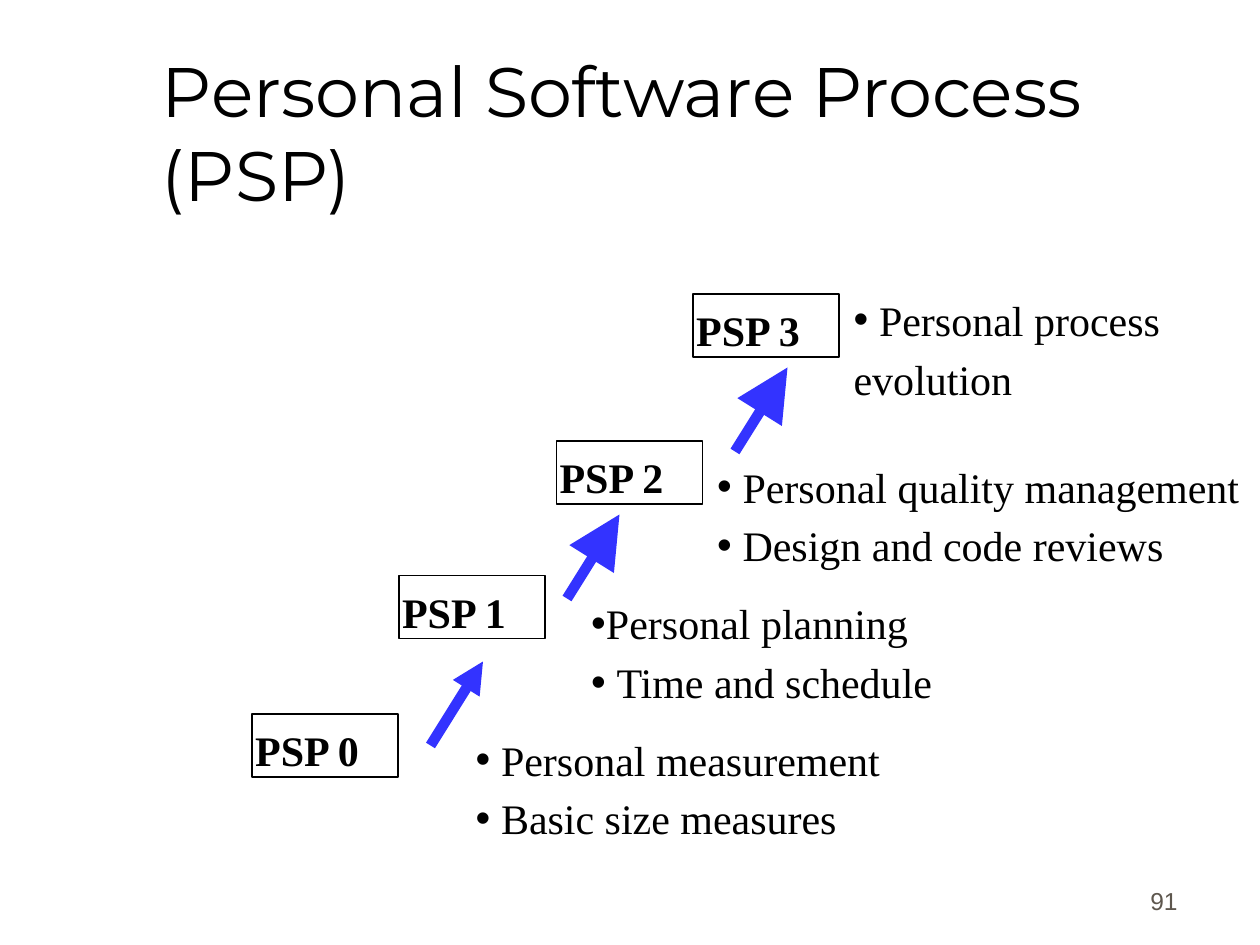
"""Build the Personal Software Process staircase slide."""
from lxml import etree
from pptx import Presentation
from pptx import util as u
from pptx.dml.color import RGBColor
from pptx.enum import shapes, text
from pptx.oxml.ns import qn

TITLE = "Personal Software Process (PSP)"
NUMBER = "91"
WIDE, TIGHT, NONE = 14.5, 8.5, 0
STEPS = [
    dict(name="PSP 0", box=(144, 408), list=(270, 414), width=257,
         items=[("Personal measurement", WIDE), ("Basic size measures", WIDE)]),
    dict(name="PSP 1", box=(228, 329), list=(336, 336), width=257,
         items=[("Personal planning", TIGHT), ("Time and schedule", WIDE)]),
    dict(name="PSP 2", box=(318, 252), list=(408, 258), width=324,
         items=[("Personal quality management", WIDE), ("Design and code reviews", WIDE)]),
    dict(name="PSP 3", box=(396, 168), list=(486, 162.7), width=257,
         items=[("Personal process", WIDE), ("evolution", NONE)]),
]
ARROWS = [((246, 426), "med"), ((324, 342), "lg"), ((420, 258), "lg")]
RISE = (30, -48)
BOX = (83.5, 36)
THEME = dict(ink="000000", arrow="3333FF", grey="5E574E",
             head="Montserrat", body="Times New Roman", plain="Arial",
             title=40, text=24, small=14)


def tint(name):
    return RGBColor.from_string(THEME[name])


def bullet(para, gap):
    props = para._p.get_or_add_pPr()
    props.set("marL", str(u.Pt(gap)))
    props.set("indent", str(-u.Pt(gap)))
    etree.SubElement(props, qn("a:buFont")).set("typeface", THEME["plain"])
    etree.SubElement(props, qn("a:buChar")).set("char", "•")


def write(shape, items, font="body", size="text", color="ink", bold=False,
          align="LEFT", anchor="TOP", inset=(1.8, 3.6, 1.8, 3.6), space=4.8):
    frame = shape.text_frame
    frame.word_wrap = True
    frame.vertical_anchor = getattr(text.MSO_ANCHOR, anchor)
    (frame.margin_left, frame.margin_top,
     frame.margin_right, frame.margin_bottom) = map(u.Pt, inset)
    for i, (words, gap) in enumerate(items):
        para = frame.add_paragraph() if i else frame.paragraphs[0]
        para.alignment = getattr(text.PP_ALIGN, align)
        if i:
            para.space_before = u.Pt(space)
        if gap:
            bullet(para, gap)
        run = para.add_run()
        run.text = words
        run.font.name = THEME[font]
        run.font.size = u.Pt(THEME[size])
        run.font.bold = bold
        run.font.color.rgb = tint(color)


def label(slide, place, items, **style):
    write(slide.shapes.add_textbox(*map(u.Pt, place)), items, **style)


def frame(slide, spot, name):
    box = slide.shapes.add_shape(shapes.MSO_SHAPE.RECTANGLE, *map(u.Pt, spot + BOX))
    box.shadow.inherit = False
    box.fill.background()
    box.line.color.rgb = tint("ink")
    box.line.width = u.Pt(0.75)
    write(box, [(name, NONE)], bold=True, inset=(1.8, 6, 1.8, 0))


def arrow(slide, start, head):
    end = tuple(a + b for a, b in zip(start, RISE))
    link = slide.shapes.add_connector(shapes.MSO_CONNECTOR.STRAIGHT,
                                      *map(u.Pt, start + end))
    link.line.color.rgb = tint("arrow")
    link.line.width = u.Pt(6)
    tip = etree.SubElement(link.line._get_or_add_ln(), qn("a:tailEnd"))
    for key, value in (("type", "triangle"), ("w", head), ("len", head)):
        tip.set(key, value)
    etree.SubElement(link._element.spPr, qn("a:effectLst"))


def main():
    deck = Presentation()
    deck.slide_width, deck.slide_height = u.Pt(720), u.Pt(540)
    slide = deck.slides.add_slide(deck.slide_layouts[6])
    label(slide, (530, 490.5, 150, 36), [(NUMBER, NONE)], font="plain", size="small",
          color="grey", align="RIGHT", anchor="BOTTOM", inset=(7.2, 3.6, 7.2, 3.6))
    label(slide, (90.7, 20.2, 612.7, 110.2), [(TITLE, NONE)], font="head",
          size="title", anchor="MIDDLE")
    for step in STEPS:
        frame(slide, step["box"], step["name"])
    for start, head in ARROWS:
        arrow(slide, start, head)
    for step in STEPS:
        label(slide, step["list"] + (step["width"], 66), step["items"],
              inset=(1.8, 5.5, 1.8, 0))
    deck.save("out.pptx")


if __name__ == "__main__":
    main()
